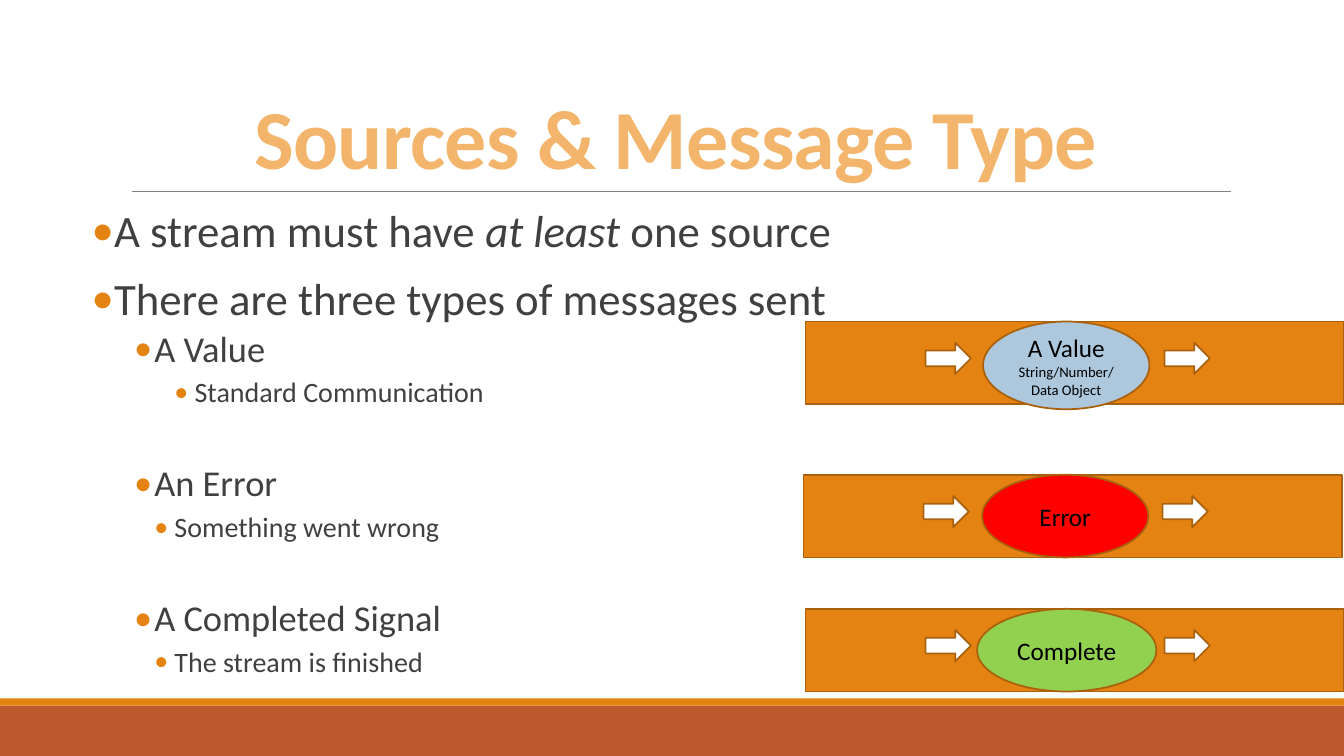
from dataclasses import dataclass

import pptx
import pptx.dml.color
import pptx.enum.shapes
import pptx.enum.text
import pptx.oxml.ns
import pptx.util
from lxml import etree

PX = 9144
FONT = "Calibri"
COLORS = {
    "footer": "BD582C",
    "accent": "E48312",
    "outline": "A9610D",
    "rule": "808080",
    "title": "F3B56C",
    "text": "404040",
    "black": "000000",
    "white": "FFFFFF",
    "value": "ADC8DD",
    "error": "FF0000",
    "complete": "92D050",
}
SHAPE = pptx.enum.shapes.MSO_SHAPE
ALIGN = pptx.enum.text.PP_ALIGN
ANCHOR = pptx.enum.text.MSO_ANCHOR
Pt = pptx.util.Pt
qn = pptx.oxml.ns.qn


@dataclass(frozen=True)
class Bullet:
    text: str
    level: int
    size: int
    left: int
    hang: int
    before: float
    after: float
    italic: str = ""


@dataclass(frozen=True)
class Stream:
    x: int
    y: int
    message_dx: int
    message_w: int
    message_h: int
    color: str
    label: str
    detail: str = ""


BULLETS = [
    Bullet("A stream must have at least one source", 0, 32, 10, 10, 12, 2, "at least"),
    Bullet("There are three types of messages sent", 0, 32, 10, 10, 12, 2),
    Bullet("A Value", 1, 26, 62, 20, 2, 4),
    Bullet("Standard Communication", 3, 20, 102, 20, 2, 4),
    Bullet("An Error", 1, 26, 62, 20, 36.6, 4),
    Bullet("Something went wrong", 2, 20, 82, 20, 2, 4),
    Bullet("A Completed Signal", 1, 26, 62, 20, 36.6, 4),
    Bullet("The stream is finished", 2, 20, 82, 20, 2, 4),
]
STREAMS = [
    Stream(799, 319, 176, 165, 87, "value", "A Value", "String/Number/ Data Object"),
    Stream(797, 471, 177, 165, 82, "error", "Error"),
    Stream(799, 604, 170, 178, 82, "complete", "Complete"),
]
BAR_W, BAR_H = 534, 82
ARROW_OFFSETS = (119, 356)
ARROW_DY, ARROW_W, ARROW_H = 21, 45, 31


def px(n: int) -> int:
    return n * PX


def rgb(name: str) -> pptx.dml.color.RGBColor:
    return pptx.dml.color.RGBColor.from_string(COLORS[name])


def style_run(r, size: float, color: str) -> None:
    r.font.name = FONT
    r.font.size = Pt(size)
    r.font.color.rgb = rgb(color)


def add_box(slide, kind, x: int, y: int, w: int, h: int, fill: str, outline: str = ""):
    sp = slide.shapes.add_shape(kind, px(x), px(y), px(w), px(h))
    sp.shadow.inherit = False
    sp.fill.solid()
    sp.fill.fore_color.rgb = rgb(fill)
    if outline:
        sp.line.color.rgb = rgb(outline)
        sp.line.width = Pt(1.25)
    else:
        sp.line.fill.background()
    return sp


def add_frame(slide) -> None:
    add_box(slide, SHAPE.RECTANGLE, 0, 700, 1333, 50, "footer")
    add_box(slide, SHAPE.RECTANGLE, 0, 693, 1333, 7, "accent")
    rule = slide.shapes.add_connector(
        pptx.enum.shapes.MSO_CONNECTOR.STRAIGHT, px(131), px(190), px(1221), px(190)
    )
    rule.line.color.rgb = rgb("rule")
    rule.line.width = Pt(0.5)
    etree.SubElement(rule._element.spPr, qn("a:effectLst"))


def set_title(slide) -> None:
    sp = slide.shapes.title
    sp.left, sp.top, sp.width, sp.height = px(120), px(31), px(1100), px(159)
    tf = sp.text_frame
    tf.text = "Sources & Message Type"
    tf.auto_size = pptx.enum.text.MSO_AUTO_SIZE.NONE
    tf.vertical_anchor = ANCHOR.BOTTOM
    p = tf.paragraphs[0]
    p.alignment = ALIGN.CENTER
    p.line_spacing = 0.85
    r = p.runs[0]
    style_run(r, 60, "title")
    r.font.bold = True
    r.font._element.set("spc", "-50")


def add_bullet(p, bullet: Bullet) -> None:
    p.level = bullet.level
    p.line_spacing = 0.9
    p.space_before = Pt(bullet.before)
    p.space_after = Pt(bullet.after)
    pPr = p._p.get_or_add_pPr()
    pPr.set("marL", str(px(bullet.left)))
    pPr.set("indent", str(-px(bullet.hang)))
    bu_color = etree.SubElement(pPr, qn("a:buClr"))
    etree.SubElement(bu_color, qn("a:srgbClr"), val=COLORS["accent"])
    etree.SubElement(pPr, qn("a:buFont"), typeface=FONT)
    etree.SubElement(pPr, qn("a:buChar"), char="•")
    parts = bullet.text.partition(bullet.italic) if bullet.italic else (bullet.text,)
    for part in parts:
        r = p.add_run()
        r.text = part
        style_run(r, bullet.size, "text")
        if part == bullet.italic:
            r.font.italic = True


def add_body(slide) -> None:
    tf = slide.shapes.add_textbox(px(91), px(202), px(1165), px(489)).text_frame
    tf.word_wrap = True
    tf.margin_left = tf.margin_right = 0
    for i, bullet in enumerate(BULLETS):
        add_bullet(tf.add_paragraph() if i else tf.paragraphs[0], bullet)


def add_stream(slide, stream: Stream) -> None:
    add_box(slide, SHAPE.RECTANGLE, stream.x, stream.y, BAR_W, BAR_H, "accent", "outline")
    for dx in ARROW_OFFSETS:
        add_box(slide, SHAPE.RIGHT_ARROW, stream.x + dx, stream.y + ARROW_DY,
                ARROW_W, ARROW_H, "white", "outline")
    sp = add_box(slide, SHAPE.OVAL, stream.x + stream.message_dx, stream.y,
                 stream.message_w, stream.message_h, stream.color, "outline")
    tf = sp.text_frame
    tf.word_wrap = True
    tf.vertical_anchor = ANCHOR.MIDDLE
    tf.text = stream.label
    if stream.detail:
        tf.add_paragraph().text = stream.detail
    for p, size in zip(tf.paragraphs, (18, 10.5)):
        p.alignment = ALIGN.CENTER
        style_run(p.runs[0], size, "black")


def main() -> None:
    prs = pptx.Presentation()
    prs.slide_width, prs.slide_height = px(1333), px(750)
    slide = prs.slides.add_slide(prs.slide_layouts.get_by_name("Title Only"))
    add_frame(slide)
    set_title(slide)
    add_body(slide)
    for stream in STREAMS:
        add_stream(slide, stream)
    prs.save("out.pptx")


if __name__ == "__main__":
    main()
